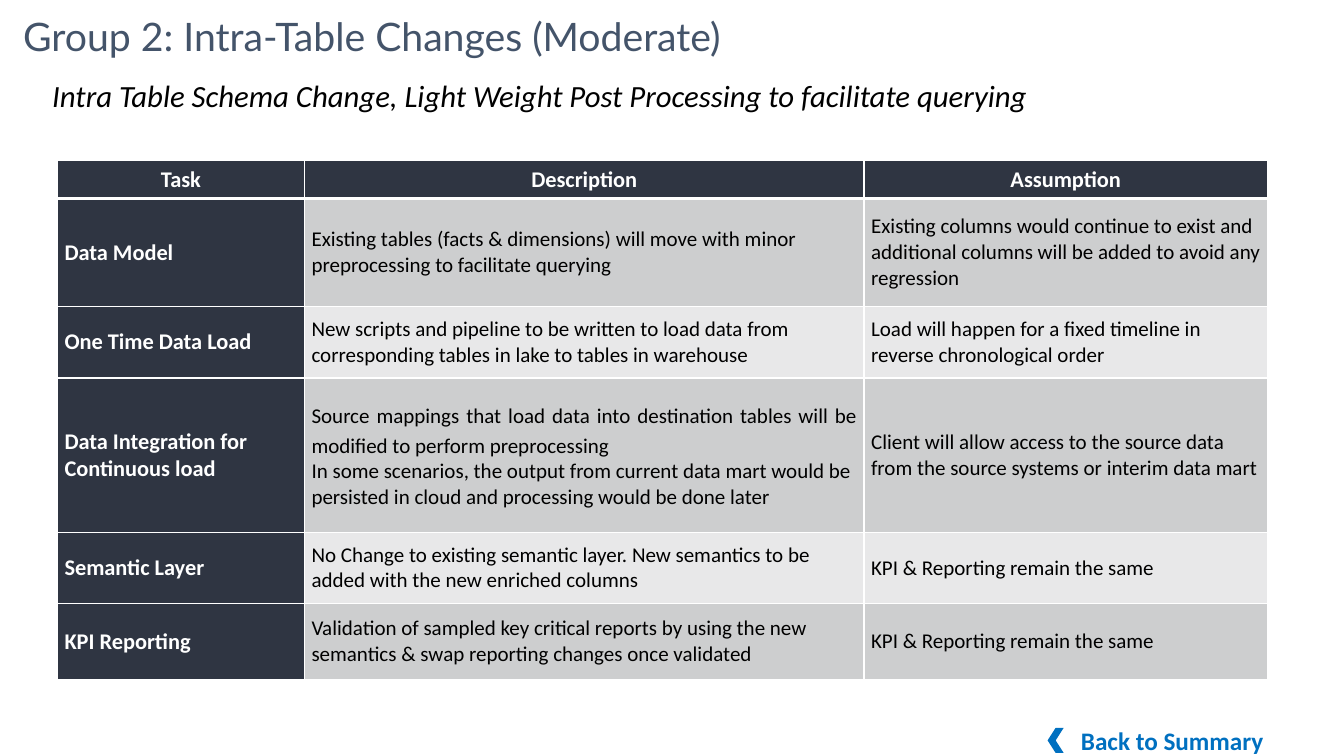
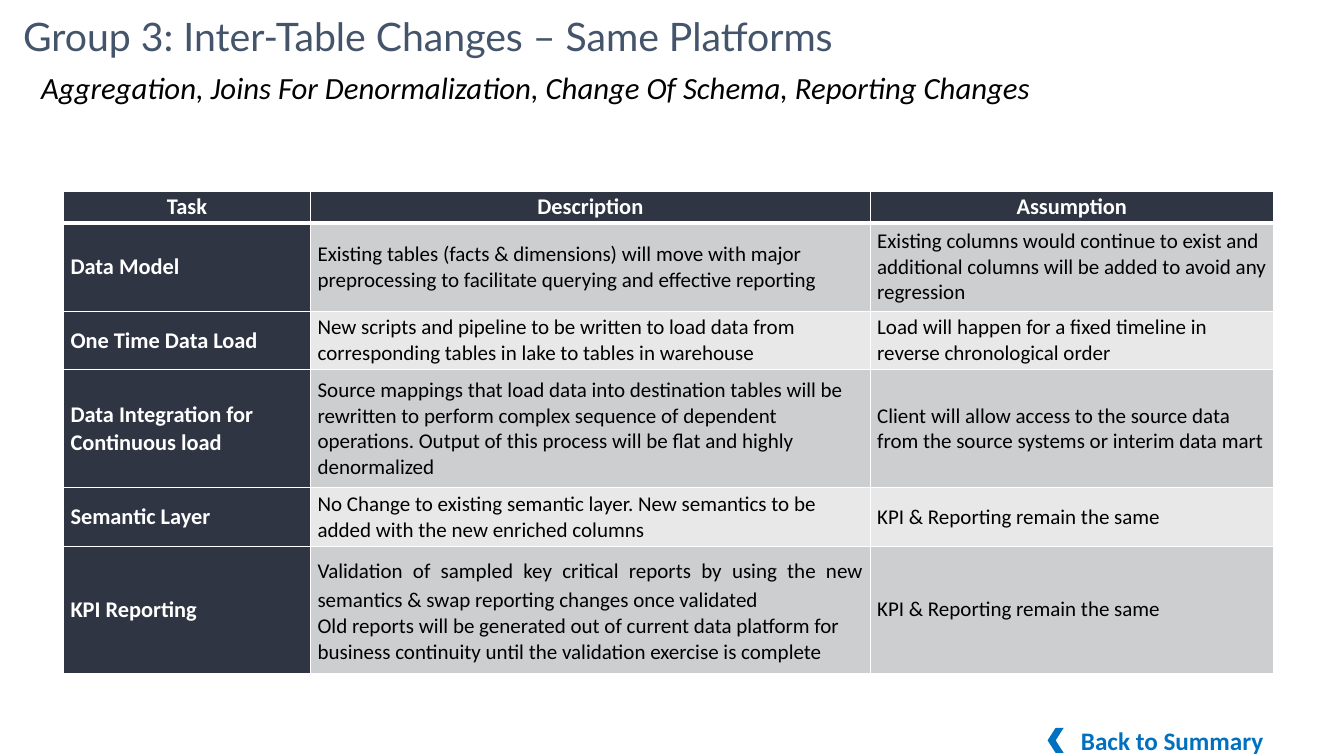
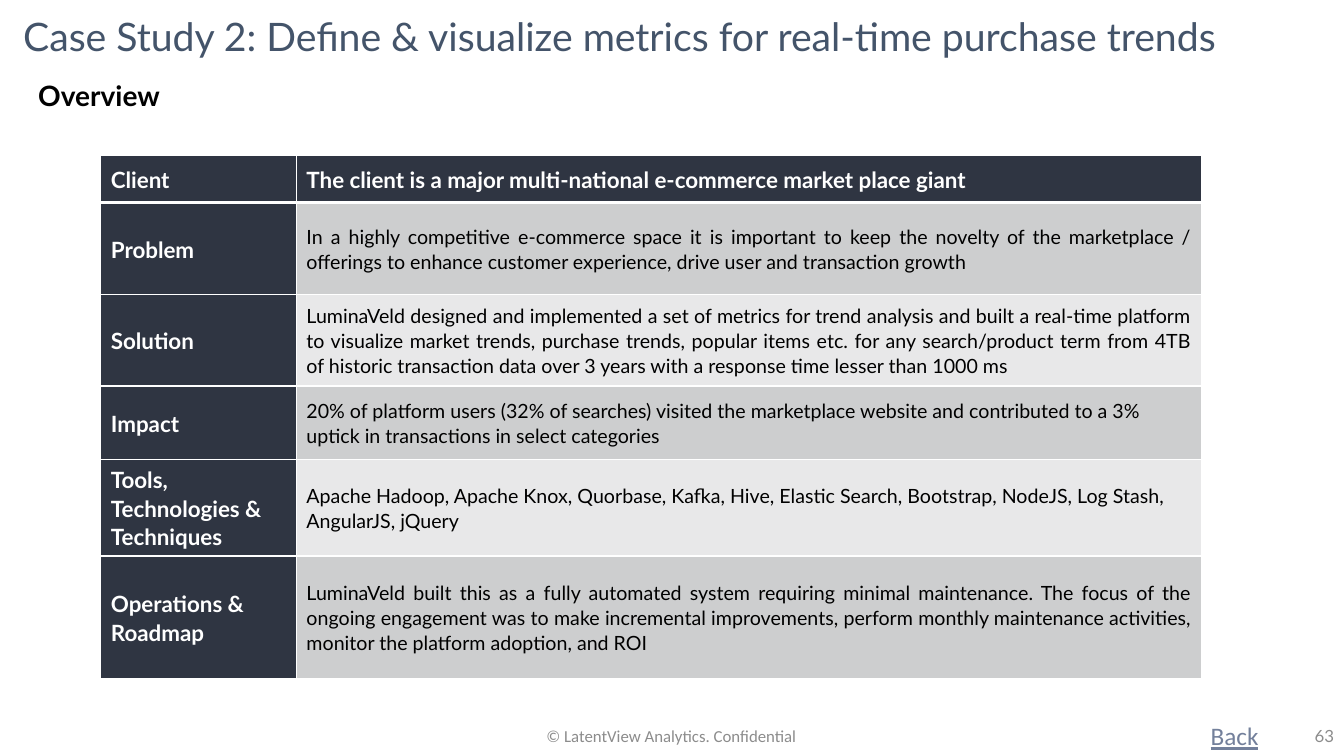
from dataclasses import dataclass

from lxml import etree
from pptx import Presentation
from pptx import util as u
from pptx.dml import color
from pptx.enum import shapes, text
from pptx.oxml import ns

LEFT, CENTER, RIGHT, JUSTIFY = (
    text.PP_ALIGN.LEFT, text.PP_ALIGN.CENTER, text.PP_ALIGN.RIGHT, text.PP_ALIGN.JUSTIFY)
MIDDLE = text.MSO_ANCHOR.MIDDLE


@dataclass(frozen=True)
class Theme:
    width: float = 13.33
    height: float = 7.5
    head_font: str = "Lato"
    body_font: str = "Calibri"
    title: str = "44546A"
    dark: str = "2F3542"
    bands: tuple = ("CDCECF", "E8E8E9")
    white: str = "FFFFFF"
    black: str = "000000"
    link: str = "0070C0"
    back: str = "73809B"
    footer: str = "8C8C8C"
    title_size: int = 28
    subtitle_size: int = 22
    section_size: int = 20
    link_size: int = 18
    label_size: int = 16
    group_size: int = 15
    case_size: int = 14
    footer_size: int = 12
    footer_top: float = 7.1
    footer_height: float = 0.4


T = Theme()


@dataclass(frozen=True)
class TableStyle:
    font: str
    size: int
    spacing: float
    margin_x: float
    margin_y: float
    header_align: int


GROUP = TableStyle(T.body_font, T.group_size, 1.0, 0.07, 0, CENTER)
CASE = TableStyle(T.head_font, T.case_size, 1.07, 0.1, 0.05, LEFT)


@dataclass(frozen=True)
class Justified:
    text: str
    spacing: float


def rgb(value):
    return color.RGBColor.from_string(value)


def style(p, font, size, fill, align=LEFT, spacing=None, **flags):
    p.alignment = align
    if spacing:
        p.line_spacing = spacing
    p.font.name = font
    p.font.size = u.Pt(size)
    p.font.color.rgb = rgb(fill)
    for flag, value in flags.items():
        setattr(p.font, flag, value)


def add_text(slide, box, content, font, size, fill, anchor=text.MSO_ANCHOR.TOP, **look):
    tf = slide.shapes.add_textbox(*map(u.Inches, box)).text_frame
    tf.word_wrap = True
    tf.vertical_anchor = anchor
    tf.text = content
    style(tf.paragraphs[0], font, size, fill, **look)


def add_titled_slide(prs, content):
    slide = prs.slides.add_slide(prs.slide_layouts[5])
    sp = slide.shapes.title
    sp.left, sp.top, sp.width, sp.height = map(u.Inches, (0.13, 0, 12.42, 0.77))
    tf = sp.text_frame
    tf.text = content
    tf.auto_size = text.MSO_AUTO_SIZE.NONE
    tf.vertical_anchor = MIDDLE
    style(tf.paragraphs[0], T.head_font, T.title_size, T.title, spacing=0.9)
    return slide


def set_borders(cell, **widths):
    props = cell._tc.get_or_add_tcPr()
    for i, side in enumerate("LRTB"):
        line = etree.Element(ns.qn(f"a:ln{side}"), w=str(u.Pt(widths.get(side, 1))))
        fill = etree.SubElement(line, ns.qn("a:solidFill"))
        etree.SubElement(fill, ns.qn("a:srgbClr"), val=T.white)
        props.insert(i, line)


def fill_cell(cell, content, look, row, col):
    is_label = row == 0 or col == 0
    cell.fill.solid()
    cell.fill.fore_color.rgb = rgb(T.dark if is_label else T.bands[(row - 1) % 2])
    set_borders(cell, T=3 if row == 1 else 1, B=3 if row == 0 else 1)
    cell.vertical_anchor = MIDDLE
    cell.margin_left = cell.margin_right = u.Inches(look.margin_x)
    cell.margin_top = cell.margin_bottom = u.Inches(look.margin_y)
    tf = cell.text_frame
    for i, part in enumerate(content if isinstance(content, list) else [content]):
        p = tf.add_paragraph() if i else tf.paragraphs[0]
        align, spacing = look.header_align if row == 0 else LEFT, look.spacing
        if isinstance(part, Justified):
            align, spacing, part = JUSTIFY, part.spacing, part.text
        p.text = part
        style(p, look.font, T.label_size if is_label else look.size,
              T.white if is_label else T.black, align, spacing, bold=is_label)


def add_grid(slide, left, top, widths, heights, rows, look):
    frame = slide.shapes.add_table(
        len(heights), len(widths),
        *map(u.Inches, (left, top, sum(widths), sum(heights))))
    table = frame.table
    for column, width in zip(table.columns, widths):
        column.width = u.Inches(width)
    for r, (height, row) in enumerate(zip(heights, rows)):
        table.rows[r].height = u.Inches(height)
        for c, content in enumerate(row):
            fill_cell(table.cell(r, c), content, look, r, c)


def add_summary_link(slide):
    add_text(slide, (10.55, 7.15, 2.08, 0.39), "Back to Summary", T.body_font,
             T.link_size, T.link, MIDDLE, align=RIGHT, bold=True)
    sp = slide.shapes.add_shape(
        shapes.MSO_SHAPE.CHEVRON, *map(u.Inches, (10.39, 7.22, 0.16, 0.25)))
    sp.rotation = 180
    sp.shadow.inherit = False
    sp.fill.solid()
    sp.fill.fore_color.rgb = rgb(T.link)
    sp.line.fill.background()


TASKS = (
    ("Data Model",
     "Existing columns would continue to exist and additional columns will be added "
     "to avoid any regression"),
    ("One Time Data Load",
     "Load will happen for a fixed timeline in reverse chronological order"),
    ("Data Integration for Continuous load",
     "Client will allow access to the source data from the source systems or interim data mart"),
    ("Semantic Layer", "KPI & Reporting remain the same"),
    ("KPI Reporting", "KPI & Reporting remain the same"),
)
LOAD = ("New scripts and pipeline to be written to load data from corresponding tables "
        "in lake to tables in warehouse")
SEMANTICS = ("No Change to existing semantic layer. New semantics to be added "
             "with the new enriched columns")
VALIDATION = ("Validation of sampled key critical reports by using the new semantics "
              "& swap reporting changes once validated")


def add_group_slide(prs, title, subtitle, subtitle_at, table_at, heights, descriptions):
    slide = add_titled_slide(prs, title)
    add_text(slide, (*subtitle_at, 12.1, 0.47), subtitle, T.body_font,
             T.subtitle_size, T.black, italic=True)
    rows = [("Task", "Description", "Assumption")]
    rows += [(task, description, assumption)
             for (task, assumption), description in zip(TASKS, descriptions)]
    add_grid(slide, *table_at, (2.45, 5.55, 4), heights, rows, GROUP)
    add_summary_link(slide)


def add_case_slide(prs):
    slide = add_titled_slide(
        prs, "Case Study 2: Define & visualize metrics for real-time purchase trends")
    add_text(slide, (0.28, 0.73, 3.58, 0.44), "Overview", T.head_font,
             T.section_size, T.black, bold=True)
    rows = (
        ("Client", "The client is a major multi-national e-commerce market place giant"),
        ("Problem", Justified(
            "In a highly competitive e-commerce space it is important to keep the novelty of "
            "the marketplace / offerings to enhance customer experience, drive user and "
            "transaction growth", CASE.spacing)),
        ("Solution", Justified(
            "LuminaVeld designed and implemented a set of metrics for trend analysis and built "
            "a real-time platform to visualize market trends, purchase trends, popular items "
            "etc. for any search/product term from 4TB of historic transaction data over "
            "3 years with a response time lesser than 1000 ms", CASE.spacing)),
        ("Impact",
         "20% of platform users (32% of searches) visited the marketplace website and "
         "contributed to a 3% uptick in transactions in select categories"),
        ("Tools, Technologies & Techniques",
         "Apache Hadoop, Apache Knox, Quorbase, Kafka, Hive, Elastic Search, Bootstrap, "
         "NodeJS, Log Stash, AngularJS, jQuery"),
        ("Operations & Roadmap", Justified(
            "LuminaVeld built this as a fully automated system requiring minimal maintenance. "
            "The focus of the ongoing engagement was to make incremental improvements, perform "
            "monthly maintenance activities, monitor the platform adoption, and ROI",
            CASE.spacing)),
    )
    add_grid(slide, 1, 1.54, (1.94, 8.98), (0.47, 0.91, 0.91, 0.73, 0.91, 1.22), rows, CASE)
    footers = (
        (11.91, 1.64, "Back", T.body_font, T.link_size, T.back,
         {"underline": True}),
        (4.41, 4.5, "© LatentView Analytics. Confidential", T.body_font, T.footer_size,
         T.footer, {"anchor": MIDDLE, "align": CENTER}),
        (10.33, 3, "63", T.head_font, T.footer_size, T.footer,
         {"anchor": MIDDLE, "align": RIGHT}),
    )
    for left, width, content, font, size, fill, look in footers:
        add_text(slide, (left, T.footer_top, width, T.footer_height),
                 content, font, size, fill, **look)


def main():
    prs = Presentation()
    prs.slide_width, prs.slide_height = u.Inches(T.width), u.Inches(T.height)
    add_group_slide(
        prs, "Group 2: Intra-Table Changes (Moderate)",
        "Intra Table Schema Change, Light Weight Post Processing to facilitate querying",
        (0.42, 0.71), (0.57, 1.59), (0.38, 1.07, 0.71, 1.53, 0.71, 0.75),
        ("Existing tables (facts & dimensions) will move with minor preprocessing "
         "to facilitate querying",
         LOAD,
         [Justified("Source mappings that load data into destination tables will be modified "
                    "to perform preprocessing", 1.15),
          "In some scenarios, the output from current data mart would be persisted in cloud "
          "and processing would be done later"],
         SEMANTICS, VALIDATION))
    add_group_slide(
        prs, "Group 3: Inter-Table Changes – Same Platforms",
        "Aggregation, Joins For Denormalization, Change Of Schema, Reporting Changes",
        (0.31, 0.63), (0.63, 1.9), (0.31, 0.88, 0.58, 1.17, 0.58, 1.26),
        ("Existing tables (facts & dimensions) will move with major preprocessing "
         "to facilitate querying and effective reporting",
         LOAD,
         "Source mappings that load data into destination tables will be rewritten to perform "
         "complex sequence of dependent operations. Output of this process will be flat and "
         "highly denormalized",
         SEMANTICS,
         [Justified(VALIDATION, 1.15),
          "Old reports will be generated out of current data platform for business continuity "
          "until the validation exercise is complete"]))
    add_case_slide(prs)
    prs.save("out.pptx")


if __name__ == "__main__":
    main()
